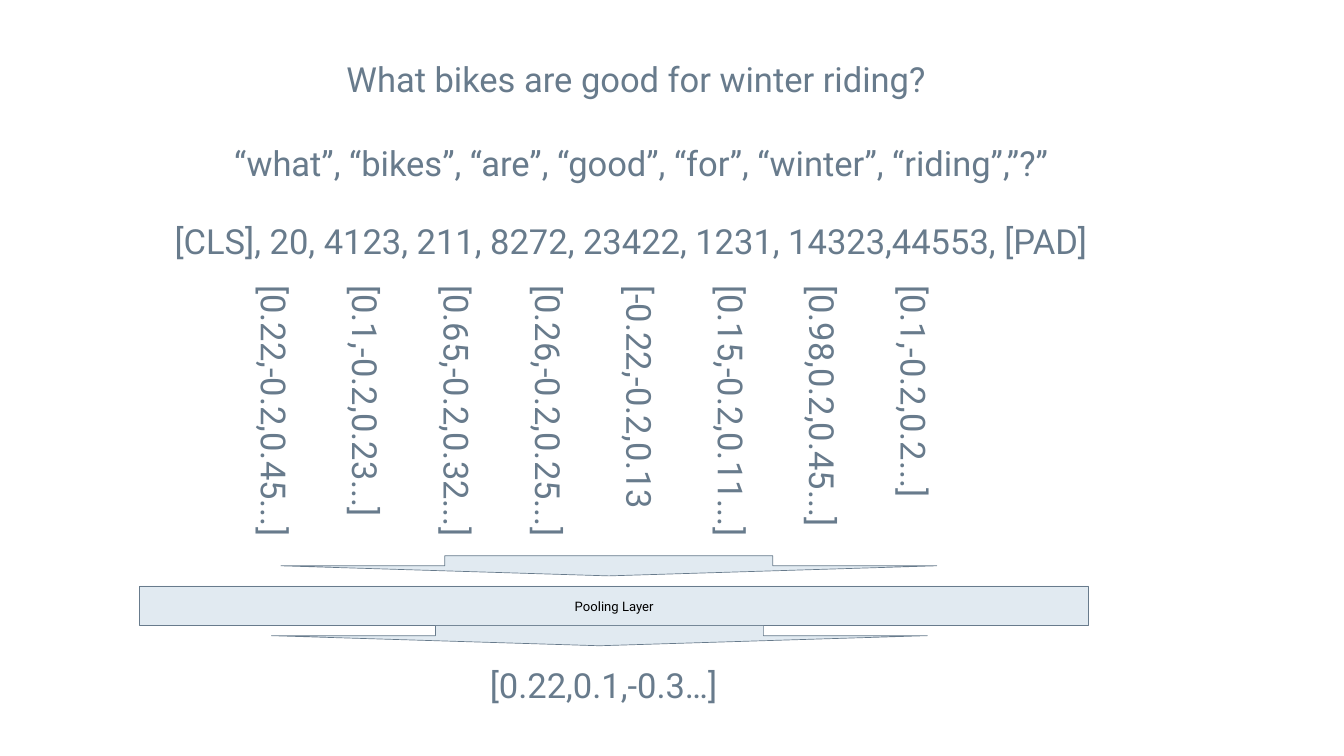
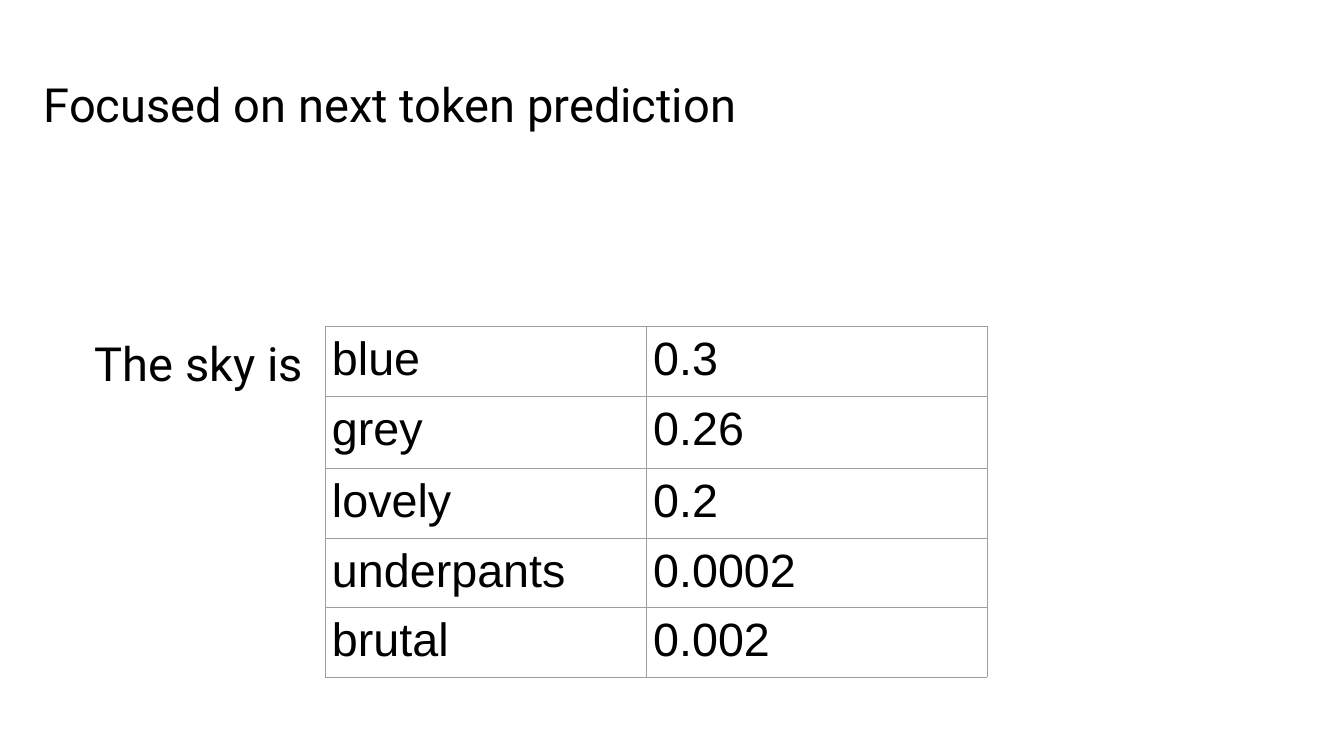
"""Build two slides: pooling token vectors, and next token prediction."""
import pptx
import pptx.util
import pptx.dml.color
import pptx.enum.shapes
import pptx.enum.text
import pptx.oxml
import pptx.oxml.ns

Inches = pptx.util.Inches
RGB = pptx.dml.color.RGBColor
SHAPE = pptx.enum.shapes.MSO_SHAPE
ALIGN = pptx.enum.text.PP_ALIGN
ANCHOR = pptx.enum.text.MSO_ANCHOR
FIT = pptx.enum.text.MSO_AUTO_SIZE

SLATE = RGB(0x68, 0x7B, 0x8C)
PALE = RGB(0xE1, 0xEA, 0xF1)
BLACK = RGB(0, 0, 0)
RULE = "9E9E9E"

STEPS = [
    ("What bikes are good for winter riding?", 1.94, 0.76, ALIGN.CENTER),
    ("“what”, “bikes”, “are”, “good”, “for”, “winter”, “riding”,”?”",
     2.02, 2.01, ALIGN.CENTER),
    ("[CLS], 20, 4123, 211, 8272, 23422, 1231, 14323,44553, [PAD]",
     2.5, 3.17, ALIGN.LEFT),
    ("[0.22,0.1,-0.3…] ", 1.52, 9.78, ALIGN.CENTER),
]
VECTORS = [
    "[0.22,-0.2,0.45...]", "[0.1,-0.2,0.23...]", "[0.65,-0.2,0.32...]",
    "[0.26,-0.2,0.25...]", "[-0.22,-0.2,0.13", "[0.15,-0.2,0.11...]",
    "[0.98,0.2,0.45...]", "[0.1,-0.2,0.2...]",
]
FIRST, PITCH = -0.53, 1.36
ARROWS = [(4.18, 8.27), (4.04, 9.31)]
TITLES = [
    ("Focused on next token prediction", (0.45, 0.92, 18.64, 1.25)),
    ("The sky is", (1.21, 4.78, 4.26, 1.25)),
]
ODDS = [("blue", "0.3"), ("grey", "0.26"), ("lovely", "0.2"),
        ("underpants", "0.0002"), ("brutal", "0.002")]
COLS = [4.78, 5.07]
ROWS = [0.97, 1.08, 1, 0.98, 0.97]


def write(frame, text, size=37, font="Roboto", color=SLATE,
          align=ALIGN.LEFT, inset=0.1):
    frame.word_wrap = True
    frame.margin_left = frame.margin_right = Inches(inset)
    frame.margin_top = frame.margin_bottom = Inches(inset)
    para = frame.paragraphs[0]
    para.alignment = align
    run = para.add_run()
    run.text = text
    run.font.size = pptx.util.Pt(size)
    run.font.name = font
    run.font.color.rgb = color


def label(slide, text, place, turn=0, grow=True, **style):
    box = slide.shapes.add_textbox(*map(Inches, place))
    box.rotation = turn
    write(box.text_frame, text, **style)
    box.text_frame.auto_size = FIT.SHAPE_TO_FIT_TEXT if grow else FIT.NONE


def block(slide, kind, place):
    shape = slide.shapes.add_shape(kind, *map(Inches, place))
    shape.shadow.inherit = False
    shape.fill.solid()
    shape.fill.fore_color.rgb = PALE
    shape.line.color.rgb = SLATE
    shape.line.width = pptx.util.Pt(0.75)
    return shape


def border(cell):
    props = cell._tc.get_or_add_tcPr()
    for spot, side in enumerate(("lnL", "lnR", "lnT", "lnB")):
        props.insert(spot, pptx.oxml.parse_xml(
            f'<a:{side} {pptx.oxml.ns.nsdecls("a")} w="9525"><a:solidFill>'
            f'<a:srgbClr val="{RULE}"/></a:solidFill></a:{side}>'))


def pooling(slide):
    for text, left, top, align in STEPS:
        label(slide, text, (left, top, 15.05, 0.82), align=align)
    for spot, text in enumerate(VECTORS):
        label(slide, text, (FIRST + spot * PITCH, 8.35, 9.23, 0.82), turn=90)
    layer = block(slide, SHAPE.RECTANGLE, (2.08, 8.72, 14.12, 0.59))
    layer.text_frame.vertical_anchor = ANCHOR.MIDDLE
    write(layer.text_frame, "Pooling Layer", size=14, color=BLACK,
          align=ALIGN.CENTER)
    for left, top in ARROWS:
        block(slide, SHAPE.DOWN_ARROW, (left, top, 9.76, 0.3))


def tokens(slide):
    for text, place in TITLES:
        label(slide, text, place, grow=False, size=50.4, color=BLACK,
              inset=0.2)
    place = (4.84, 4.86, sum(COLS), sum(ROWS))
    table = slide.shapes.add_table(
        len(ROWS), len(COLS), *map(Inches, place)).table
    table.first_row = table.horz_banding = False
    for col, width in zip(table.columns, COLS):
        col.width = Inches(width)
    for row, height, words in zip(table.rows, ROWS, ODDS):
        row.height = Inches(height)
        for cell, text in zip(row.cells, words):
            write(cell.text_frame, text, size=50, font="Arial", color=BLACK)
            cell.margin_left = cell.margin_right = Inches(0.1)
            cell.margin_top = cell.margin_bottom = Inches(0.1)
            cell.fill.background()
            border(cell)


def main():
    deck = pptx.Presentation()
    deck.slide_width, deck.slide_height = Inches(20), Inches(11.25)
    for draw in (pooling, tokens):
        draw(deck.slides.add_slide(deck.slide_layouts[6]))
    deck.save("out.pptx")


if __name__ == "__main__":
    main()
